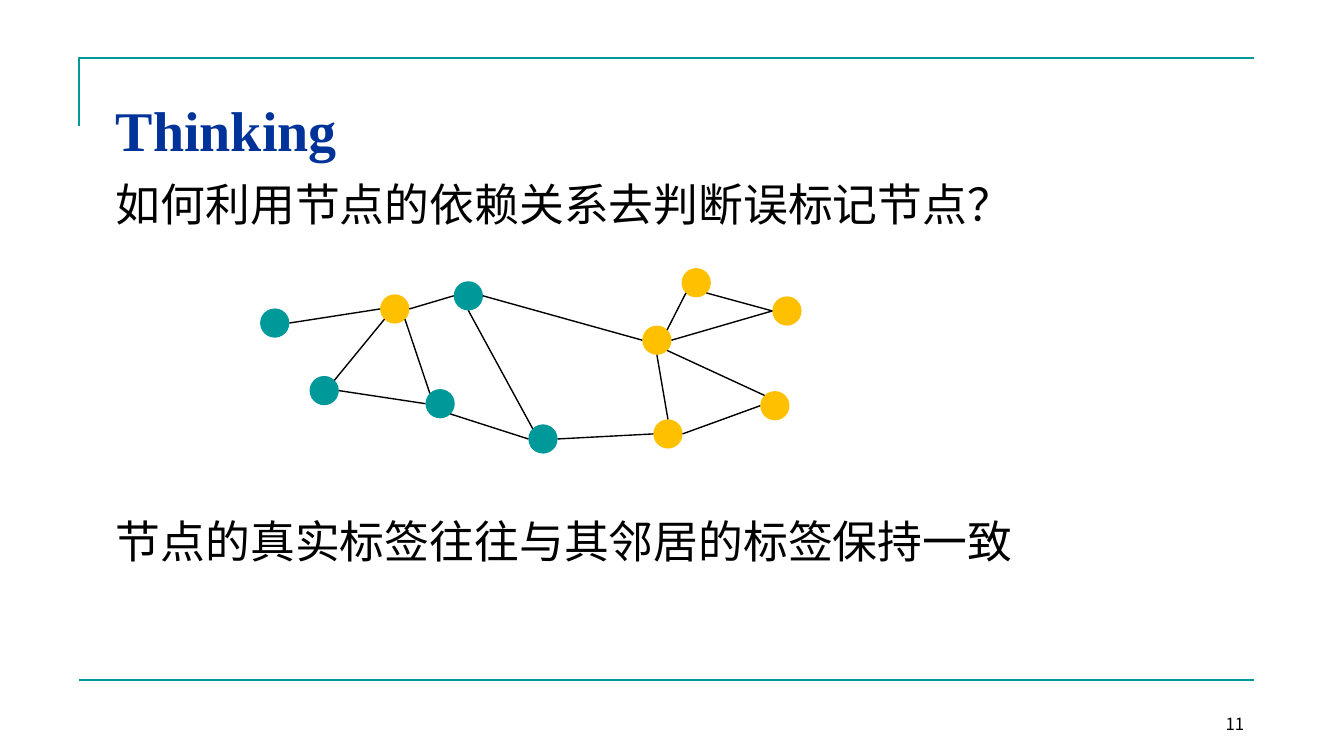
from lxml import etree
from pptx import Presentation
from pptx import util as u
from pptx.dml.color import RGBColor
from pptx.enum import shapes, text
from pptx.oxml.ns import qn

TEAL = RGBColor(0x00, 0x99, 0x99)
AMBER = RGBColor(0xFF, 0xC0, 0x00)
NAVY = RGBColor(0x00, 0x33, 0x99)
BLACK = RGBColor(0, 0, 0)
SERIF = "Times New Roman"
CJK = "Noto Sans CJK TC"

NODE_SIZE = 0.29
# name: (left, top, colour)
NODES = {
    "a": (4.5, 2.79, TEAL),
    "b": (3.07, 3.73, TEAL),
    "c": (4.22, 3.86, TEAL),
    "d": (3.77, 2.92, AMBER),
    "e": (2.58, 3.06, TEAL),
    "f": (5.24, 4.21, TEAL),
    "g": (6.76, 2.66, AMBER),
    "h": (6.37, 3.23, AMBER),
    "i": (7.54, 3.88, AMBER),
    "j": (7.66, 2.94, AMBER),
    "k": (6.48, 4.16, AMBER),
}
# Compass points on a node's rim, as fractions of its size
RIM = {
    "N": (0.5, 0), "NW": (0.15, 0.15), "W": (0, 0.5), "SW": (0.15, 0.85),
    "S": (0.5, 1), "SE": (0.85, 0.85), "E": (1, 0.5), "NE": (0.85, 0.15),
}
# (from node, side, to node, side)
EDGES = [
    ("d", "W", "e", "E"), ("d", "SW", "b", "NE"), ("c", "W", "b", "E"),
    ("d", "SE", "c", "NW"), ("a", "W", "d", "E"), ("f", "W", "c", "SE"),
    ("a", "S", "f", "NW"), ("h", "W", "a", "E"), ("k", "W", "f", "E"),
    ("h", "S", "k", "N"), ("g", "SW", "h", "NE"), ("g", "SE", "j", "W"),
    ("h", "E", "j", "W"), ("i", "W", "k", "E"), ("i", "NW", "h", "SE"),
]


def add_text(s, content, left, top, width, height, *, size, font=SERIF,
             color=BLACK, bold=False, align=text.PP_ALIGN.LEFT,
             anchor=text.MSO_ANCHOR.TOP, grow=False, inset=0.05):
    sp = s.shapes.add_textbox(*map(u.Inches, (left, top, width, height)))
    tf = sp.text_frame
    tf.word_wrap = True
    tf.vertical_anchor = anchor
    tf.margin_top = u.Inches(inset)
    tf.auto_size = (text.MSO_AUTO_SIZE.SHAPE_TO_FIT_TEXT if grow
                    else text.MSO_AUTO_SIZE.NONE)
    p = tf.paragraphs[0]
    p.alignment = align
    r = p.add_run()
    r.text = content
    r.font.name = font
    r.font.size = u.Pt(size)
    r.font.bold = bold
    r.font.color.rgb = color
    etree.SubElement(r.font._element, qn("a:ea"), typeface=CJK)


def add_line(s, start, end, color, width):
    cxn = s.shapes.add_connector(shapes.MSO_CONNECTOR.STRAIGHT,
                                 *map(u.Inches, (*start, *end)))
    cxn.line.color.rgb = color
    cxn.line.width = u.Pt(width)
    etree.SubElement(cxn._element.spPr, qn("a:effectLst"))


def add_corner_rule(s):
    fb = s.shapes.build_freeform(u.Inches(0.78), u.Inches(1.25))
    fb.add_line_segments([(u.Inches(0.78), u.Inches(0.58)),
                          (u.Inches(12.44), u.Inches(0.58))], close=False)
    sp = fb.convert_to_shape()
    sp.shadow.inherit = False
    sp.fill.background()
    sp.line.color.rgb = TEAL
    sp.line.width = u.Pt(1.5)


def add_node(s, left, top, color):
    sp = s.shapes.add_shape(
        shapes.MSO_SHAPE.OVAL,
        *map(u.Inches, (left, top, NODE_SIZE, NODE_SIZE)))
    sp.shadow.inherit = False
    sp.fill.solid()
    sp.fill.fore_color.rgb = color
    sp.line.fill.background()


def rim_point(name, side):
    left, top, _ = NODES[name]
    dx, dy = RIM[side]
    return left + dx * NODE_SIZE, top + dy * NODE_SIZE


def add_graph(s):
    for node in NODES.values():
        add_node(s, *node)
    for a, a_side, b, b_side in EDGES:
        add_line(s, rim_point(a, a_side), rim_point(b, b_side), BLACK, 1)


def main():
    prs = Presentation()
    prs.slide_width, prs.slide_height = u.Inches(13.33), u.Inches(7.5)
    s = prs.slides.add_slide(prs.slide_layouts[6])

    add_corner_rule(s)
    add_line(s, (0.78, 6.75), (12.44, 6.75), TEAL, 1.5)
    add_text(s, "Thinking", 1.05, 0.83, 11.38, 0.65, size=40, color=NAVY,
             bold=True, inset=0.12)
    add_text(s, "11", 9.33, 6.83, 3.11, 0.5, size=12, font=CJK,
             align=text.PP_ALIGN.RIGHT, anchor=text.MSO_ANCHOR.BOTTOM)
    add_text(s, "如何利用节点的依赖关系去判断误标记节点？",
             1.05, 1.7, 9.16, 0.64, size=32, grow=True)
    add_graph(s)
    add_text(s, "节点的真实标签往往与其邻居的标签保持一致",
             1.05, 5.05, 9.16, 0.64, size=32, grow=True)
    prs.save("out.pptx")


if __name__ == "__main__":
    main()
